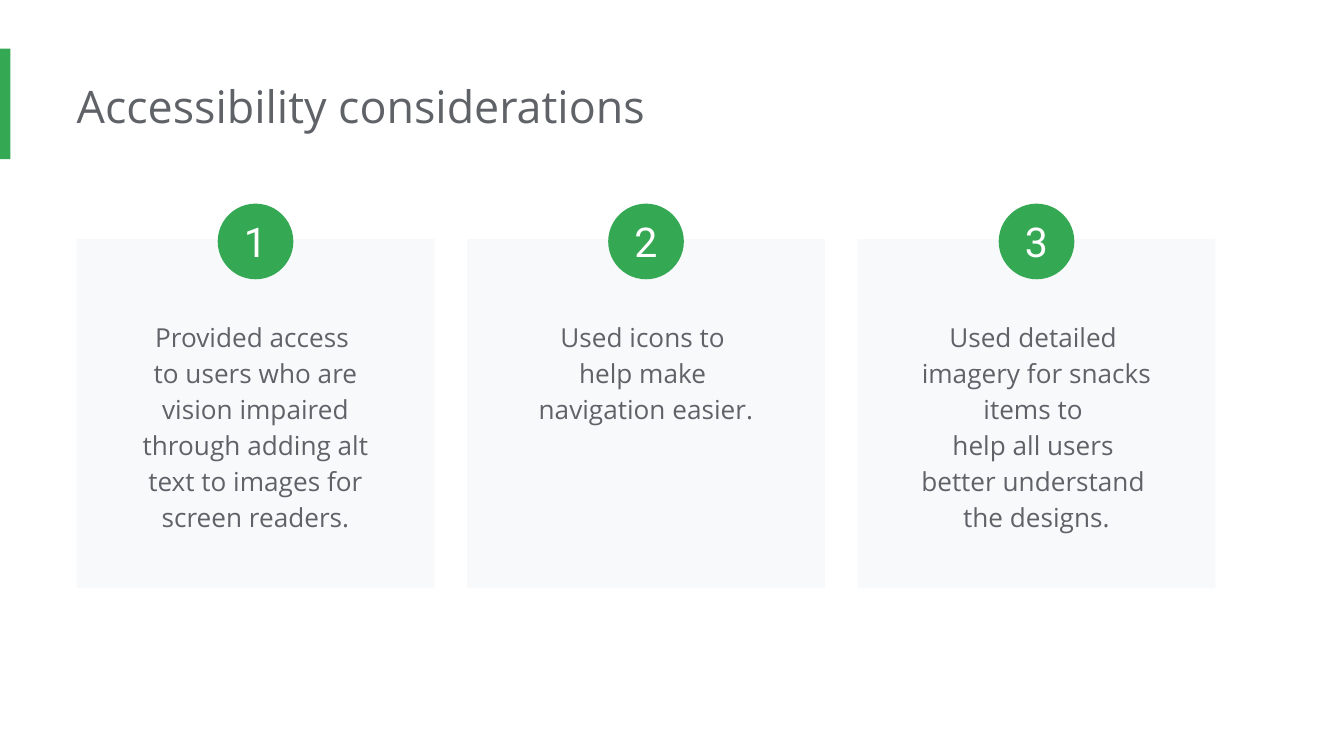
from pptx import Presentation
from pptx.dml.color import RGBColor
from pptx.enum.shapes import MSO_SHAPE
from pptx.enum.text import MSO_ANCHOR, MSO_AUTO_SIZE, PP_ALIGN
from pptx.util import Cm, Pt

COLORS = {"green": "34A853", "grey": "5F6368", "card": "F8F9FA", "white": "FFFFFF"}


def add_filled_shape(kind, left, top, width, height, color):
    shape = slide.shapes.add_shape(kind, Cm(left), Cm(top), Cm(width), Cm(height))
    shape.shadow.inherit = False
    shape.fill.solid()
    shape.fill.fore_color.rgb = RGBColor.from_string(COLORS[color])
    shape.line.fill.background()
    return shape


def write_text(shape, text, size, font, color, align, anchor, margins, spacing=1.0):
    frame = shape.text_frame
    frame.word_wrap = True
    frame.auto_size = MSO_AUTO_SIZE.NONE
    frame.vertical_anchor = anchor
    frame.margin_left, frame.margin_top, frame.margin_right, frame.margin_bottom = [
        Cm(margin) for margin in margins
    ]
    frame.text = text
    para = frame.paragraphs[0]
    para.alignment = align
    para.line_spacing = spacing
    for span in para.runs:
        span.font.size = Pt(size)
        span.font.name = font
        span.font.color.rgb = RGBColor.from_string(COLORS[color])


deck = Presentation()
deck.slide_width, deck.slide_height = Cm(25.4), Cm(14.29)
slide = deck.slides.add_slide(deck.slide_layouts[5])

# Accent bar and title
add_filled_shape(MSO_SHAPE.RECTANGLE, 0, 0.92, 0.2, 2.09, "green")
title = slide.shapes.title
title.left, title.top, title.width, title.height = Cm(1.45), Cm(1.24), Cm(19.46), Cm(1.55)
write_text(title, "Accessibility considerations", 24, "Open Sans", "grey",
           PP_ALIGN.LEFT, MSO_ANCHOR.TOP, (0, 0.25, 0.25, 0.25))

# Numbered cards; \v is a line break inside a paragraph
considerations = [
    "Provided access \vto users who are vision impaired through adding alt text "
    "to images for screen readers.",
    "Used icons to \vhelp make \vnavigation easier.",
    "Used detailed \vimagery for snacks items to \vhelp all users "
    "\vbetter understand \vthe designs.",
]
first_left, card_pitch, card_width = 1.45, 7.38, 6.76
text_width, badge_size = 5.7, 1.43

for index, consideration in enumerate(considerations):
    card_left = first_left + index * card_pitch
    add_filled_shape(MSO_SHAPE.RECTANGLE, card_left, 4.52, card_width, 6.6, "card")

    text_left = card_left + (card_width - text_width) / 2
    box = slide.shapes.add_textbox(Cm(text_left), Cm(5.74), Cm(text_width), Cm(4.6))
    write_text(box, consideration, 14, "Open Sans", "grey",
               PP_ALIGN.CENTER, MSO_ANCHOR.TOP, [0.25] * 4, 1.15)

    badge_left = card_left + (card_width - badge_size) / 2
    badge = add_filled_shape(MSO_SHAPE.OVAL, badge_left, 3.85, badge_size, badge_size, "green")
    write_text(badge, str(index + 1), 22, "Roboto", "white",
               PP_ALIGN.CENTER, MSO_ANCHOR.MIDDLE, [0] * 4)

deck.save("out.pptx")
